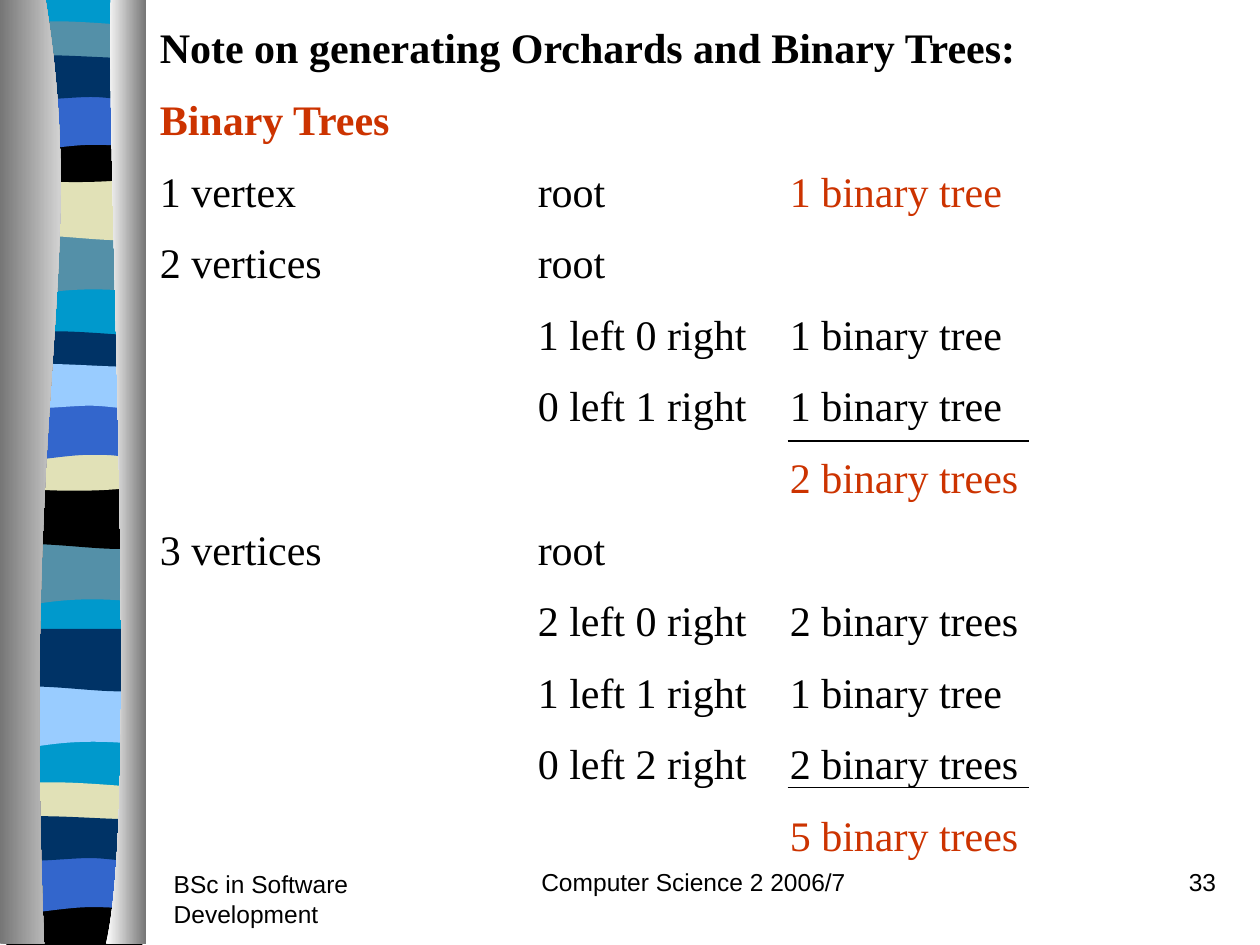
import pptx
import pptx.dml.color
import pptx.enum.shapes
import pptx.enum.text
import pptx.util
from lxml import etree
from pptx.oxml.ns import qn

Inches = pptx.util.Inches
Align = pptx.enum.text.PP_ALIGN

BLACK, RUST, NAVY, BLUE = "000000", "CC3300", "003366", "3366CC"
SLATE, CREAM, SKY, CYAN = "5490A8", "E1E1B7", "99CCFF", "0099CC"
WHITE, GRAY = "FFFFFF", "767676"

WAVES = {
    "dip": [(1.08, 0), (1.08, 0.47), (0.33, 0.39, 0.18, 0.55, 0, 0.47), (0, 0)],
    "swell": [(1.08, 0), (1.08, 0.47), (0.9, 0.55, 0.33, 0.42, 0, 0.47), (0, 0)],
    "arch": [(1.08, 0.05), (1.08, 0.29), (0.9, 0.33, 0.18, 0.33, 0, 0.29), (0, 0.05),
             (0.06, 0, 0.23, 0.01, 0.41, 0.01), (0.59, 0.01, 0.94, 0.04, 1.08, 0.05)],
    "bowl": [(1.08, 0), (1.08, 0.32), (0.9, 0.38, 0.18, 0.38, 0, 0.32), (0, 0),
             (0.66, 0.05, 0.85, 0, 1.08, 0)],
    "base": [(1.08, 0), (1.08, 0.38), (0, 0.38), (0, 0), (0.66, 0.05, 0.85, 0, 1.08, 0)],
    "lift": [(1.08, 0), (1.08, 0.47), (0.91, 0.41, 0.84, 0.41, 0.66, 0.41),
             (0.48, 0.41, 0.16, 0.47, 0, 0.47), (0, 0)],
    "ripple": [(1.08, 0.05), (1.08, 0.36), (1.01, 0.41, 0.84, 0.36, 0.66, 0.36),
               (0.48, 0.36, 0.11, 0.41, 0, 0.36), (0, 0.05),
               (0.15, 0, 0.73, 0.05, 0.91, 0.05), (1.09, 0.05, 1.04, 0.05, 1.08, 0.05)],
}
BANDS = [
    ("dip", 0.06, 1.85, SLATE), ("swell", 0.06, 1.41, CREAM), ("arch", 0.06, 0.16, SLATE),
    ("bowl", 0.06, 1.08, BLACK), ("lift", 0.06, 0.74, BLUE), ("ripple", 0.06, 0.41, NAVY),
    ("dip", 0.05, 4.31, SLATE), ("swell", 0.05, 3.86, BLACK), ("arch", 0.05, 2.62, NAVY),
    ("bowl", 0.05, 3.53, CREAM), ("lift", 0.05, 3.2, BLUE), ("ripple", 0.05, 2.86, SKY),
    ("dip", 0.06, 5.44, SKY), ("swell", 0.06, 4.99, NAVY), ("arch", 0.05, 6.2, CREAM),
    ("base", 0.05, 7.12, BLACK), ("lift", 0.05, 6.79, BLUE), ("ripple", 0.05, 6.45, NAVY),
]
BACKDROP = [(1.08, 0), (1.08, 7.48), (0, 7.48), (0, 0)]
LEFT_CURTAIN = [(0.36, 0), (0.71, 2.17, 0.17, 2.97, 0.35, 7.5), (0, 7.5), (0, 0)]
RIGHT_CURTAIN = [(0.88, 0), (0.84, 1.26, 1.11, 6.47, 0.84, 7.5), (1.16, 7.5), (1.16, 0)]

ROWS = [
    ("1 vertex\troot\t", "1 binary tree"),
    ("2 vertices\troot", ""),
    ("\t1 left 0 right\t1 binary tree", ""),
    ("\t0 left 1 right\t1 binary tree", ""),
    ("\t\t", "2 binary trees"),
    ("3 vertices\troot", ""),
    ("\t2 left 0 right\t2 binary trees", ""),
    ("\t1 left 1 right\t1 binary tree", ""),
    ("\t0 left 2 right\t2 binary trees", ""),
    ("\t\t", "5 binary trees"),
]


def color(hex_code):
    return pptx.dml.color.RGBColor.from_string(hex_code)


def bend_curves(shape, segments):
    lines = iter(list(shape._element.iter(qn("a:lnTo"))))
    for segment in segments:
        curve = next(lines)
        if len(segment) == 6:
            curve.tag = qn("a:cubicBezTo")
            for _ in range(2):
                line = next(lines)
                curve.append(line[0])
                line.getparent().remove(line)


def add_outline(page, outline, left, top, *colors):
    points = [(Inches(left + x), Inches(top + y)) for segment in outline
              for x, y in zip(segment[::2], segment[1::2])]
    builder = page.shapes.build_freeform(*points[0])
    builder.add_line_segments(points[1:], close=True)
    shape = builder.convert_to_shape()
    bend_curves(shape, outline[1:])
    shape.shadow.inherit = False
    shape.line.fill.background()
    if len(colors) == 1:
        shape.fill.solid()
        shape.fill.fore_color.rgb = color(colors[0])
    else:
        shape.fill.gradient()
        shape.fill.gradient_angle = 0
        for stop, hex_code in zip(shape.fill.gradient_stops, colors):
            stop.color.rgb = color(hex_code)


def add_ribbon(page, left, top):
    add_outline(page, BACKDROP, left + 0.06, top - 0.01, CYAN)
    for wave, x, y, hex_code in BANDS:
        add_outline(page, WAVES[wave], left + x, top + y, hex_code)
    add_outline(page, LEFT_CURTAIN, left, top - 0.01, GRAY, WHITE)
    add_outline(page, RIGHT_CURTAIN, left, top - 0.01, WHITE, GRAY)


def add_box(page, left, top, width, height):
    box = page.shapes.add_textbox(Inches(left), Inches(top), Inches(width), Inches(height))
    box.text_frame.word_wrap = True
    return box.text_frame


def style(para, name, size, hex_code, bold=False):
    para.font.name = name
    para.font.size = pptx.util.Pt(size)
    para.font.bold = bold
    para.font.color.rgb = color(hex_code)


def add_tabs(para, *stops):
    tabs = etree.SubElement(para._p.get_or_add_pPr(), qn("a:tabLst"))
    for stop in stops:
        etree.SubElement(tabs, qn("a:tab"), pos=str(Inches(stop)), algn="l")


def add_notes_text(page, left, top, width, height):
    frame = add_box(page, left, top, width, height)
    frame.auto_size = pptx.enum.text.MSO_AUTO_SIZE.SHAPE_TO_FIT_TEXT
    headings = [("Note on generating Orchards and Binary Trees:", BLACK), ("Binary Trees", RUST)]
    for index, (text, hex_code) in enumerate(headings):
        para = frame.add_paragraph() if index else frame.paragraphs[0]
        para.add_run().text = text
        style(para, "Times New Roman", 24, hex_code, bold=True)
    for text, total in ROWS:
        para = frame.add_paragraph()
        add_tabs(para, 3, 5)
        para.add_run().text = text
        if total:
            span = para.add_run()
            span.text = total
            span.font.color.rgb = color(RUST)
        style(para, "Times New Roman", 24, BLACK)
    for index, para in enumerate(frame.paragraphs):
        para.line_spacing = 0.9
        if index:
            para.space_before = pptx.util.Pt(15)


def add_sum_line(page, left, top, width):
    line = page.shapes.add_connector(pptx.enum.shapes.MSO_CONNECTOR.STRAIGHT, Inches(left),
                                     Inches(top), Inches(left + width), Inches(top))
    line.line.color.rgb = color(BLACK)
    line.line.width = pptx.util.Pt(1)
    etree.SubElement(line._element.spPr, qn("a:effectLst"))


def add_footer(page, left, top, width, text, align):
    para = add_box(page, left, top, width, 0.5).paragraphs[0]
    para.add_run().text = text
    para.alignment = align
    style(para, "Arial", 14, BLACK)


def main():
    deck = pptx.Presentation()
    deck.slide_width, deck.slide_height = Inches(10), Inches(7.5)
    page = deck.slides.add_slide(deck.slide_layouts[6])
    add_ribbon(page, 0, 0)
    add_footer(page, 1.28, 6.85, 2.08, "BSc in Software Development", Align.LEFT)
    add_footer(page, 3.92, 6.83, 3.17, "Computer Science 2 2006/7", Align.CENTER)
    add_footer(page, 7.67, 6.83, 2.08, "33", Align.RIGHT)
    add_notes_text(page, 1.17, 0.17, 8.17, 6.71)
    for top in (3.5, 6.25):
        add_sum_line(page, 6.25, top, 1.92)
    deck.save("out.pptx")


if __name__ == "__main__":
    main()
